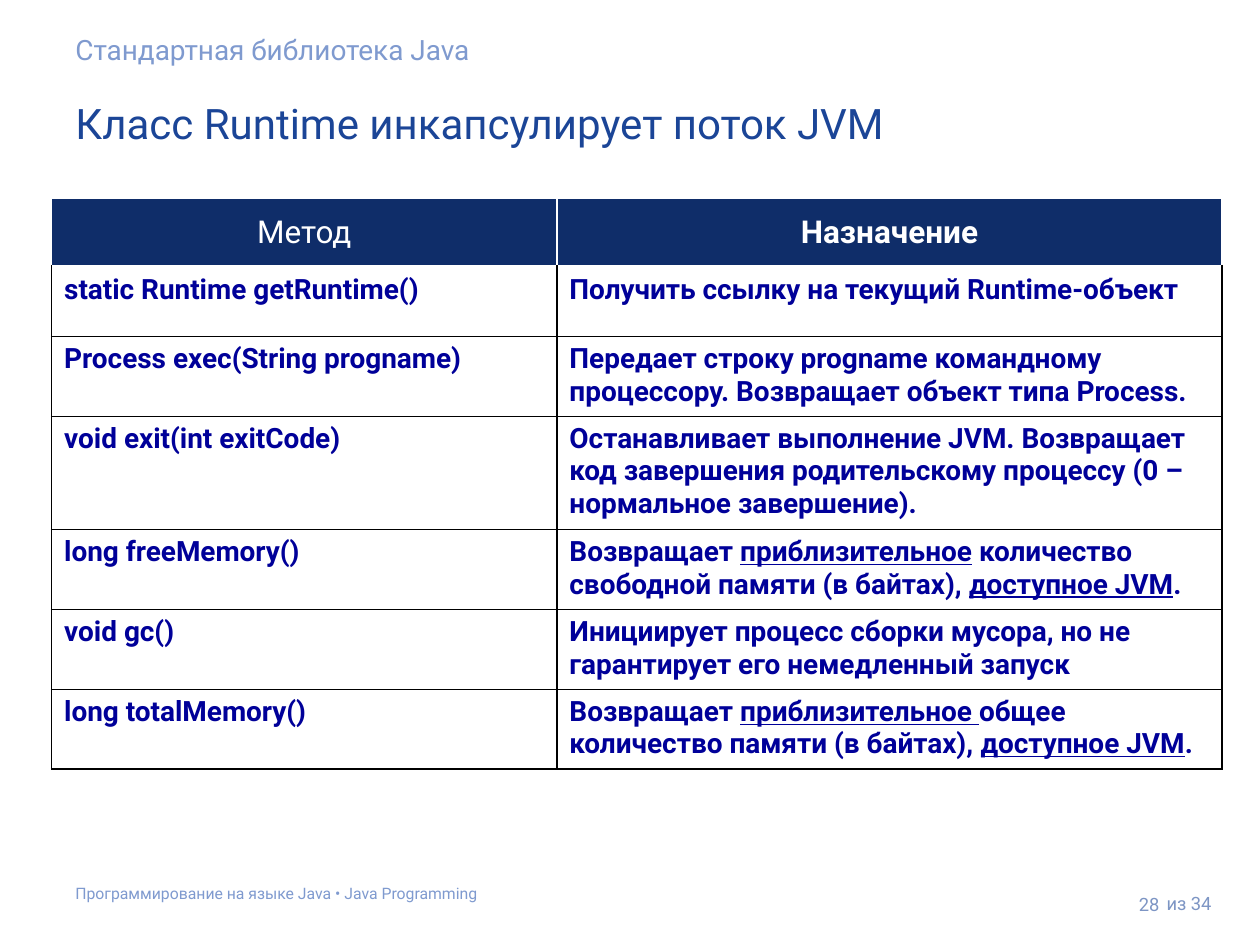
from pptx import Presentation
from pptx.dml.color import RGBColor
from pptx.enum.text import MSO_ANCHOR as Anchor, PP_ALIGN as Align
from pptx.oxml import parse_xml
from pptx.oxml.ns import nsdecls
from pptx.util import Inches, Pt

FONT = "Roboto"
NAVY, INK, WHITE, BLACK = "0F2D69", "000099", "FFFFFF", "000000"
TITLE, PALE, PAGE = "1B4597", "7F9ACF", "7D95C4"
COL_WIDTHS = [4.01, 5.28]
ROW_HEIGHTS = [0.55, 0.55, 0.63, 0.9, 0.63, 0.63, 0.63]
HEADERS = ["Метод", "Назначение"]
METHODS = [
    ("static Runtime getRuntime()", ["Получить ссылку на текущий Runtime-объект"]),
    ("Process exec(String progname)",
     ["Передает строку progname командному процессору. Возвращает объект типа Process."]),
    ("void exit(int exitCode)",
     ["Останавливает выполнение JVM. Возвращает код завершения родительскому процессу "
      "(0 – нормальное завершение)."]),
    ("long freeMemory()",
     ["Возвращает ", "приблизительное", " количество свободной памяти (в байтах), ",
      "доступное JVM", "."]),
    ("void gc()",
     ["Инициирует процесс сборки мусора, но не гарантирует его немедленный запуск"]),
    ("long totalMemory()",
     ["Возвращает ", "приблизительное ", "общее количество памяти (в байтах), ",
      "доступное JVM", "."]),
]


def rgb(color):
    return RGBColor.from_string(color)


def style_run(r, size, color, bold=False):
    r.font.name = FONT
    r.font.size = Pt(size)
    r.font.bold = bold
    r.font.color.rgb = rgb(color)


def add_text(slide, box, text, size, color, inset=0.1, anchor=Anchor.TOP, align=Align.LEFT):
    tf = slide.shapes.add_textbox(*map(Inches, box)).text_frame
    tf.word_wrap = True
    tf.vertical_anchor = anchor
    tf.margin_top = tf.margin_bottom = Inches(inset)
    p = tf.paragraphs[0]
    p.text = text
    p.alignment = align
    style_run(p.runs[0], size, color)


def set_borders(cell, left, right, top, bottom):
    tcPr = cell._tc.get_or_add_tcPr()
    sides = zip("LRTB", (left, right, top, bottom))
    for i, (side, (color, width)) in enumerate(sides):
        tcPr.insert(i, parse_xml(
            f'<a:ln{side} {nsdecls("a")} w="{Pt(width)}"><a:solidFill>'
            f'<a:srgbClr val="{color}"/></a:solidFill></a:ln{side}>'))


def fill_header(cell, text, bold):
    cell.fill.solid()
    cell.fill.fore_color.rgb = rgb(NAVY)
    cell.vertical_anchor = Anchor.MIDDLE
    p = cell.text_frame.paragraphs[0]
    p.text = text
    p.alignment = Align.CENTER
    style_run(p.runs[0], 18, WHITE, bold)
    thin = (WHITE, 1)
    set_borders(cell, thin, thin, thin, (WHITE, 3))


def fill_body(cell, parts, top_color):
    cell.fill.background()
    p = cell.text_frame.paragraphs[0]
    for i, part in enumerate(parts):
        r = p.add_run()
        r.text = part
        style_run(r, 16, INK, True)
        if i % 2:
            r.font.underline = True
    thin = (BLACK, 1)
    set_borders(cell, thin, thin, (top_color, 1), thin)


def add_method_table(slide):
    box = (0.41, 1.57, sum(COL_WIDTHS), sum(ROW_HEIGHTS))
    table = slide.shapes.add_table(
        len(ROW_HEIGHTS), len(COL_WIDTHS), *map(Inches, box)).table
    table.horz_banding = False
    for col, width in zip(table.columns, COL_WIDTHS):
        col.width = Inches(width)
    for row, height in zip(table.rows, ROW_HEIGHTS):
        row.height = Inches(height)
    for c, text in enumerate(HEADERS):
        fill_header(table.cell(0, c), text, bold=c == 1)
    for r, (method, purpose) in enumerate(METHODS, 1):
        top_color = WHITE if r == 1 else BLACK
        fill_body(table.cell(r, 0), [method], top_color)
        fill_body(table.cell(r, 1), purpose, top_color)


def main():
    prs = Presentation()
    prs.slide_width, prs.slide_height = Inches(10), Inches(7.5)
    slide = prs.slides.add_slide(prs.slide_layouts[6])
    add_text(slide, (0.5, 0.67, 9.19, 0.61), "Класс Runtime инкапсулирует поток JVM", 24, TITLE)
    add_text(slide, (0.5, 6.94, 9, 0.35),
             "Программирование на языке Java • Java Programming", 9, PALE)
    add_text(slide, (9.16, 6.97, 0.69, 0.4), "из 34", 10.5, PAGE, 0.05, Anchor.MIDDLE)
    add_text(slide, (8.7, 6.89, 0.6, 0.57), "28", 10.5, PAGE, 0.1, Anchor.MIDDLE, Align.RIGHT)
    add_text(slide, (0.5, 0.16, 9.19, 0.47), "Стандартная библиотека Java", 16, PALE)
    add_method_table(slide)
    prs.save("out.pptx")


if __name__ == "__main__":
    main()
